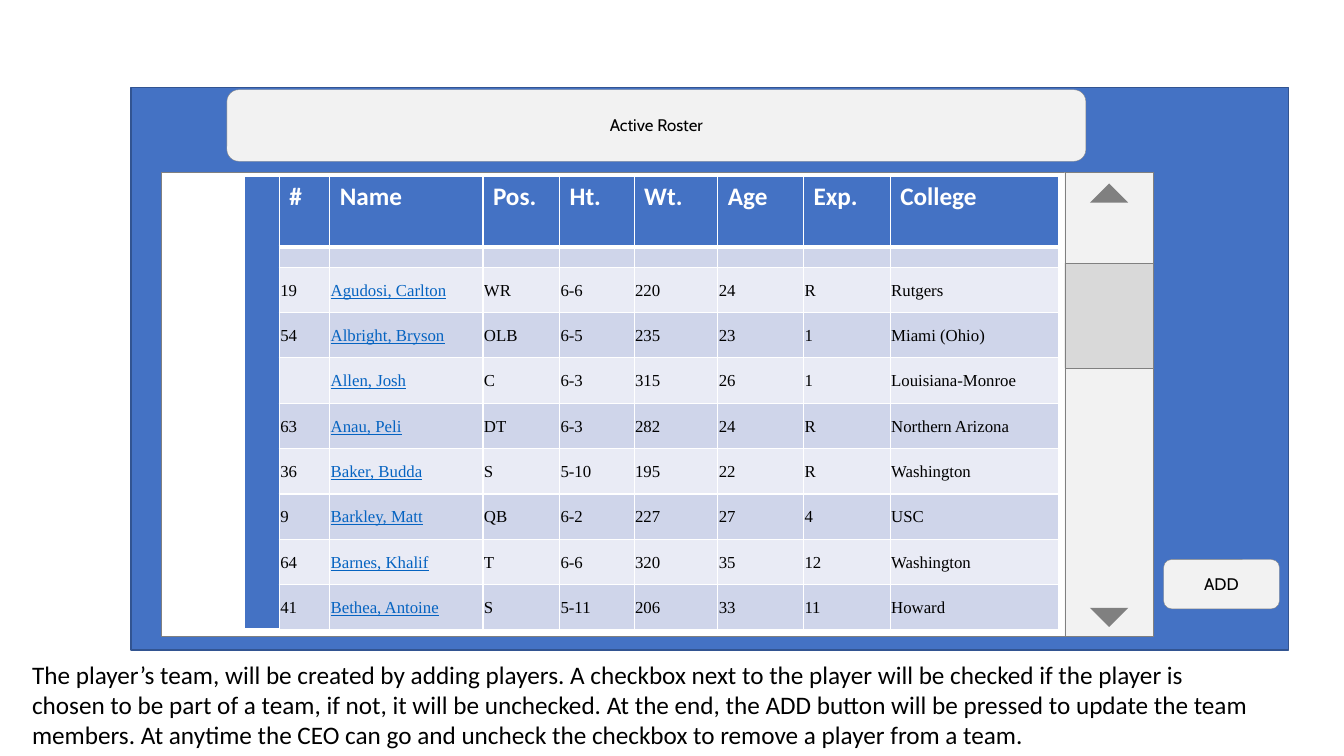
"""Build the active roster screen mock-up slide."""
from lxml import etree
from pptx import Presentation
from pptx import util as u
from pptx.dml.color import RGBColor
from pptx.enum import shapes, text
from pptx.oxml.ns import qn

PX = 9144
BLUE, PALE, GRAY, WHITE, BLACK = "4472C4", "F2F2F2", "808080", "FFFFFF", "000000"
LINK, BANDS = "0563C1", ("E9EBF5", "CFD5EA")
COLUMNS = [35, 50, 152, 76, 74, 83, 85, 86, 167]
HEADER_HEIGHT, GAP_HEIGHT, PLAYER_HEIGHT = 70, 20, 45
HEADINGS = ["#", "Name", "Pos.", "Ht.", "Wt.", "Age", "Exp.", "College"]
PLAYERS = [
    ["19", "Agudosi, Carlton", "WR", "6-6", "220", "24", "R", "Rutgers"],
    ["54", "Albright, Bryson", "OLB", "6-5", "235", "23", "1", "Miami (Ohio)"],
    ["", "Allen, Josh", "C", "6-3", "315", "26", "1", "Louisiana-Monroe"],
    ["63", "Anau, Peli", "DT", "6-3", "282", "24", "R", "Northern Arizona"],
    ["36", "Baker, Budda", "S", "5-10", "195", "22", "R", "Washington"],
    ["9", "Barkley, Matt", "QB", "6-2", "227", "27", "4", "USC"],
    ["64", "Barnes, Khalif", "T", "6-6", "320", "35", "12", "Washington"],
    ["41", "Bethea, Antoine", "S", "5-11", "206", "33", "11", "Howard"],
]
EXPLANATION = (
    "The player’s team, will be created by adding players. A checkbox next to the "
    "player will be checked if the player is chosen to be part of a team, if not, it "
    "will be unchecked. At the end, the ADD button will be pressed to update the team "
    "members. At anytime the CEO can go and uncheck the checkbox to remove a player "
    "from a team.")


def px(*lengths):
    """Turn px lengths into EMU."""
    return [u.Emu(length * PX) for length in lengths]


def paint(fill, color):
    """Give a fill a solid hex colour."""
    fill.solid()
    fill.fore_color.rgb = RGBColor.from_string(color)


def add_run(paragraph, words, size, font, color=BLACK, bold=False, underline=False):
    """Add one formatted run to a paragraph."""
    run = paragraph.add_run()
    run.text = words
    run.font.size = u.Pt(size)
    run.font.name = font
    run.font.bold = bold
    run.font.underline = underline
    run.font.color.rgb = RGBColor.from_string(color)


def add_box(parent, kind, box, fill, line=None, width=0.25):
    """Add a flat preset shape, outlined when a line colour is given."""
    shape = parent.add_shape(kind, *px(*box))
    shape.shadow.inherit = False
    paint(shape.fill, fill)
    if line:
        paint(shape.line.fill, line)
        shape.line.width = u.Pt(width)
    else:
        shape.line.fill.background()
    return shape


def add_button(slide, box, label):
    """Add a rounded button with a centred label."""
    shape = add_box(slide.shapes, shapes.MSO_SHAPE.ROUNDED_RECTANGLE, box, PALE, GRAY)
    frame = shape.text_frame
    frame.word_wrap = True
    frame.vertical_anchor = text.MSO_ANCHOR.MIDDLE
    frame.margin_top, frame.margin_bottom = px(0, 1)
    paragraph = frame.paragraphs[0]
    paragraph.alignment = text.PP_ALIGN.CENTER
    add_run(paragraph, label, 12, "Cabin")


def add_scroll_window(slide):
    """Add the grouped list window with its scroll bar."""
    parts = slide.shapes.add_group_shape().shapes
    rectangle = shapes.MSO_SHAPE.RECTANGLE
    add_box(parts, rectangle, (160, 171, 984, 460), WHITE, GRAY)
    add_box(parts, rectangle, (1056, 171, 88, 460), PALE, GRAY)
    add_box(parts, rectangle, (1056, 261, 88, 104), "D9D9D9", GRAY)
    for top, rotation in ((182, 0), (603, 180)):
        arrow = add_box(parts, shapes.MSO_SHAPE.ISOSCELES_TRIANGLE,
                        (1081, top, 38, 19), GRAY)
        arrow.rotation = rotation


def style_cell(cell, fill, bottom=1):
    """Give a cell white borders and a fill."""
    properties = cell._tc.get_or_add_tcPr()
    for side, width in (("L", 1), ("R", 1), ("T", 1), ("B", bottom)):
        border = etree.SubElement(properties, qn(f"a:ln{side}"), w=str(u.Pt(width)))
        solid = etree.SubElement(border, qn("a:solidFill"))
        etree.SubElement(solid, qn("a:srgbClr"), val=WHITE)
    paint(cell.fill, fill)


def fill_body_cell(cell, words, is_name):
    """Write a compact body cell, keeping empty ones small."""
    cell.margin_left, cell.margin_right, cell.margin_top, cell.margin_bottom = px(1, 1, 1, 1)
    cell.vertical_anchor = text.MSO_ANCHOR.MIDDLE
    paragraph = cell.text_frame.paragraphs[0]
    if words:
        paragraph.line_spacing = 1.07
        add_run(paragraph, words, 12, "Times New Roman",
                LINK if is_name else BLACK, underline=is_name)
    else:
        etree.SubElement(paragraph._p, qn("a:endParaRPr"), sz="800")


def add_roster(slide):
    """Add the roster table with its header, gap row and players."""
    heights = [HEADER_HEIGHT, GAP_HEIGHT] + [PLAYER_HEIGHT] * len(PLAYERS)
    frame = slide.shapes.add_table(len(heights), len(COLUMNS),
                                   *px(242, 175, sum(COLUMNS), sum(heights)))
    table = frame.table
    for column, width in zip(table.columns, COLUMNS):
        column.width = u.Emu(width * PX)
    for row, height in zip(table.rows, heights):
        row.height = u.Emu(height * PX)

    for index in range(len(heights)):
        checkbox = table.cell(index, 0)
        style_cell(checkbox, BLUE, bottom=3)
        fill_body_cell(checkbox, "", False)
    table.cell(0, 0).merge(table.cell(len(heights) - 1, 0))

    for column, heading in enumerate(HEADINGS, 1):
        cell = table.cell(0, column)
        style_cell(cell, BLUE, bottom=3)
        add_run(cell.text_frame.paragraphs[0], heading, 18, "Calibri", WHITE, bold=True)
    for row, values in enumerate([[""] * len(HEADINGS)] + PLAYERS, 1):
        for column, words in enumerate(values, 1):
            cell = table.cell(row, column)
            style_cell(cell, BANDS[row % 2])
            fill_body_cell(cell, words, column == 2)


def add_explanation(slide):
    """Add the paragraph below the screen."""
    frame = slide.shapes.add_textbox(*px(22, 649, 1226, 101)).text_frame
    frame.word_wrap = True
    frame.auto_size = text.MSO_AUTO_SIZE.SHAPE_TO_FIT_TEXT
    add_run(frame.paragraphs[0], EXPLANATION, 18, "Calibri")


def main():
    """Build and save the slide."""
    presentation = Presentation()
    presentation.slide_width, presentation.slide_height = px(1333, 750)
    slide = presentation.slides.add_slide(presentation.slide_layouts[6])
    add_box(slide.shapes, shapes.MSO_SHAPE.RECTANGLE, (130, 87, 1148, 558),
            BLUE, "325491", 1)
    add_button(slide, (225, 89, 852, 71), "Active Roster")
    add_scroll_window(slide)
    add_button(slide, (1154, 555, 115, 49), "ADD")
    add_explanation(slide)
    add_roster(slide)
    presentation.save("out.pptx")


if __name__ == "__main__":
    main()
